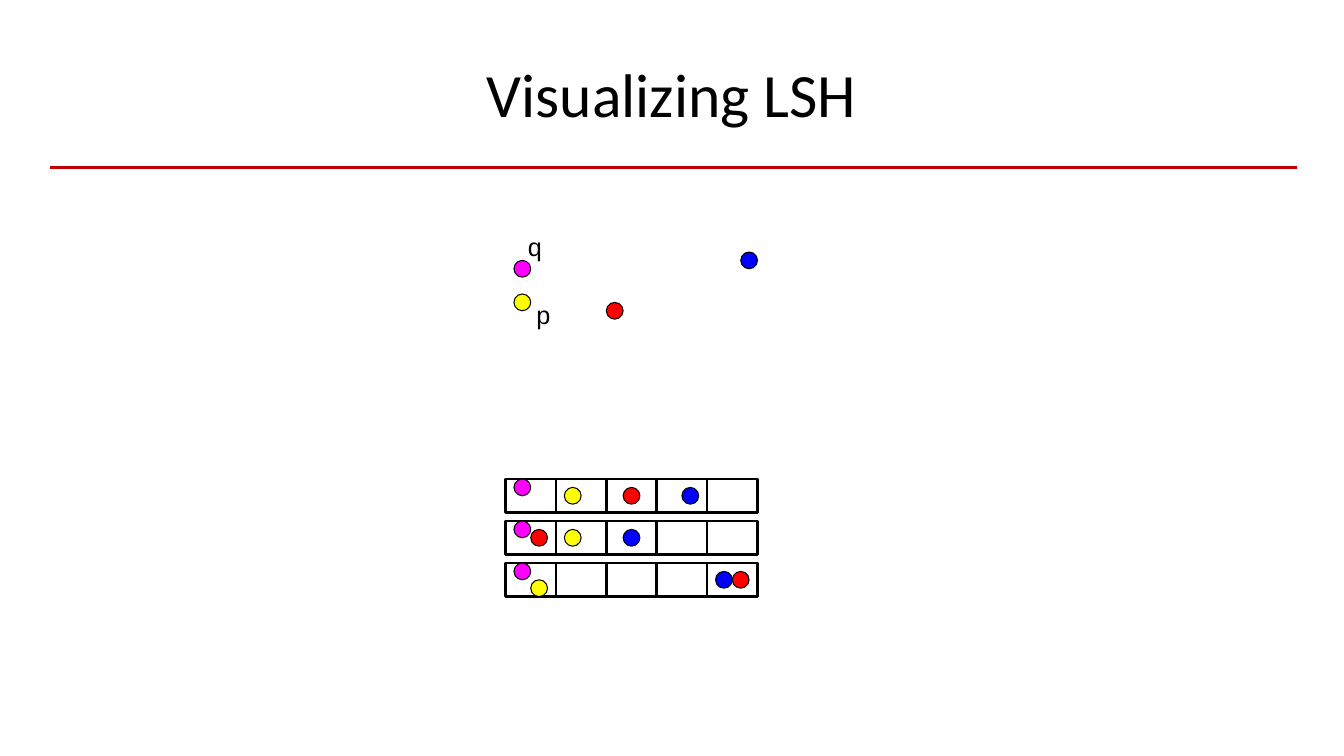
from dataclasses import dataclass

from lxml.etree import SubElement
from pptx import Presentation
from pptx.dml.color import RGBColor
from pptx.enum.shapes import MSO_CONNECTOR, MSO_SHAPE
from pptx.enum.text import MSO_ANCHOR, MSO_AUTO_SIZE, PP_ALIGN
from pptx.oxml.ns import qn
from pptx.util import Cm, Pt

# Both drawings sit on a grid whose unit is half a point's diameter
UNIT = 2.54 / 12
LEFT = 12.74
SPACE_TOP = 6.35
TABLES_TOP = 12.07
POINT_SIZE = 2
BUCKET_WIDTH, BUCKET_HEIGHT = 6, 4
BUCKET_COUNT = 5
TABLE_PITCH = 5

MAGENTA, YELLOW, RED, BLUE = "FF00FF", "FFFF00", "FF0000", "0000FF"
BLACK, RULE_RED = "000000", "C00000"


@dataclass
class Point:
    color: str
    column: int
    row: int


@dataclass
class Label:
    text: str
    column: int
    row: int


SPACE_POINTS = [Point(MAGENTA, 1, 1), Point(BLUE, 28, 0),
                Point(RED, 12, 6), Point(YELLOW, 1, 5)]
SPACE_LABELS = [Label("q", 0, -3), Label("p", 1, 5)]
HASH_TABLES = [
    [Point(YELLOW, 7, 1), Point(MAGENTA, 1, 0), Point(RED, 14, 1), Point(BLUE, 21, 1)],
    [Point(YELLOW, 7, 1), Point(MAGENTA, 1, 0), Point(RED, 3, 1), Point(BLUE, 14, 1)],
    [Point(YELLOW, 3, 2), Point(MAGENTA, 1, 0), Point(RED, 27, 1), Point(BLUE, 25, 1)],
]


def rgb(color: str) -> RGBColor:
    return RGBColor.from_string(color)


def apply_format(target, values: dict) -> None:
    for name, value in values.items():
        setattr(target, name, value)


def format_text(frame, text: str, font_name: str, size: int) -> None:
    frame.text = text
    paragraph = frame.paragraphs[0]
    paragraph.alignment = PP_ALIGN.CENTER
    font = paragraph.runs[0].font
    apply_format(font, {"name": font_name, "size": Pt(size)})
    font.color.rgb = rgb(BLACK)


def grid_box(top: float, column: int, row: int, width: float, height: float) -> tuple:
    return (Cm(LEFT + column * UNIT), Cm(top + row * UNIT),
            Cm(width * UNIT), Cm(height * UNIT))


def draw_outline(slide, kind: MSO_SHAPE, box: tuple, weight: float):
    shape = slide.shapes.add_shape(kind, *box)
    shape.shadow.inherit = False
    shape.fill.background()
    shape.line.color.rgb = rgb(BLACK)
    shape.line.width = Pt(weight)
    return shape


def draw_point(slide, point: Point, top: float) -> None:
    box = grid_box(top, point.column, point.row, POINT_SIZE, POINT_SIZE)
    circle = draw_outline(slide, MSO_SHAPE.OVAL, box, 0.75)
    circle.fill.solid()
    circle.fill.fore_color.rgb = rgb(point.color)


def draw_label(slide, label: Label) -> None:
    box = grid_box(SPACE_TOP, label.column, label.row, 7, 4.8)
    frame = slide.shapes.add_textbox(*box).text_frame
    apply_format(frame, {"word_wrap": True, "auto_size": MSO_AUTO_SIZE.SHAPE_TO_FIT_TEXT})
    format_text(frame, label.text, "Arial", 18)
    frame.paragraphs[0].space_before = Pt(11.2)


def draw_hash_table(slide, points: list[Point], top: float) -> None:
    for bucket in range(BUCKET_COUNT):
        box = grid_box(top, bucket * BUCKET_WIDTH, 0, BUCKET_WIDTH, BUCKET_HEIGHT)
        draw_outline(slide, MSO_SHAPE.RECTANGLE, box, 1.75)
    for point in points:
        draw_point(slide, point, top)


def draw_heading(slide) -> None:
    title = slide.shapes.title
    apply_format(title, {"left": Cm(1.69), "top": Cm(0.76),
                         "width": Cm(30.48), "height": Cm(3.18)})
    title.text_frame.vertical_anchor = MSO_ANCHOR.MIDDLE
    format_text(title.text_frame, "Visualizing LSH", "Calibri", 44)

    rule = slide.shapes.add_connector(
        MSO_CONNECTOR.STRAIGHT, Cm(1.27), Cm(4.23), Cm(32.68), Cm(4.23))
    rule.line.color.rgb = rgb(RULE_RED)
    rule.line.width = Pt(2)
    SubElement(rule._element.spPr, qn("a:effectLst"))


def main() -> None:
    deck = Presentation()
    apply_format(deck, {"slide_width": Cm(33.87), "slide_height": Cm(19.05)})
    slide = deck.slides.add_slide(deck.slide_layouts.get_by_name("Title Only"))

    # Title and rule
    draw_heading(slide)

    # Points in the original space
    for point in SPACE_POINTS:
        draw_point(slide, point, SPACE_TOP)
    for label in SPACE_LABELS:
        draw_label(slide, label)

    # Hash tables with the points in their buckets
    for index, points in enumerate(HASH_TABLES):
        draw_hash_table(slide, points, TABLES_TOP + index * TABLE_PITCH * UNIT)

    deck.save("out.pptx")


if __name__ == "__main__":
    main()
